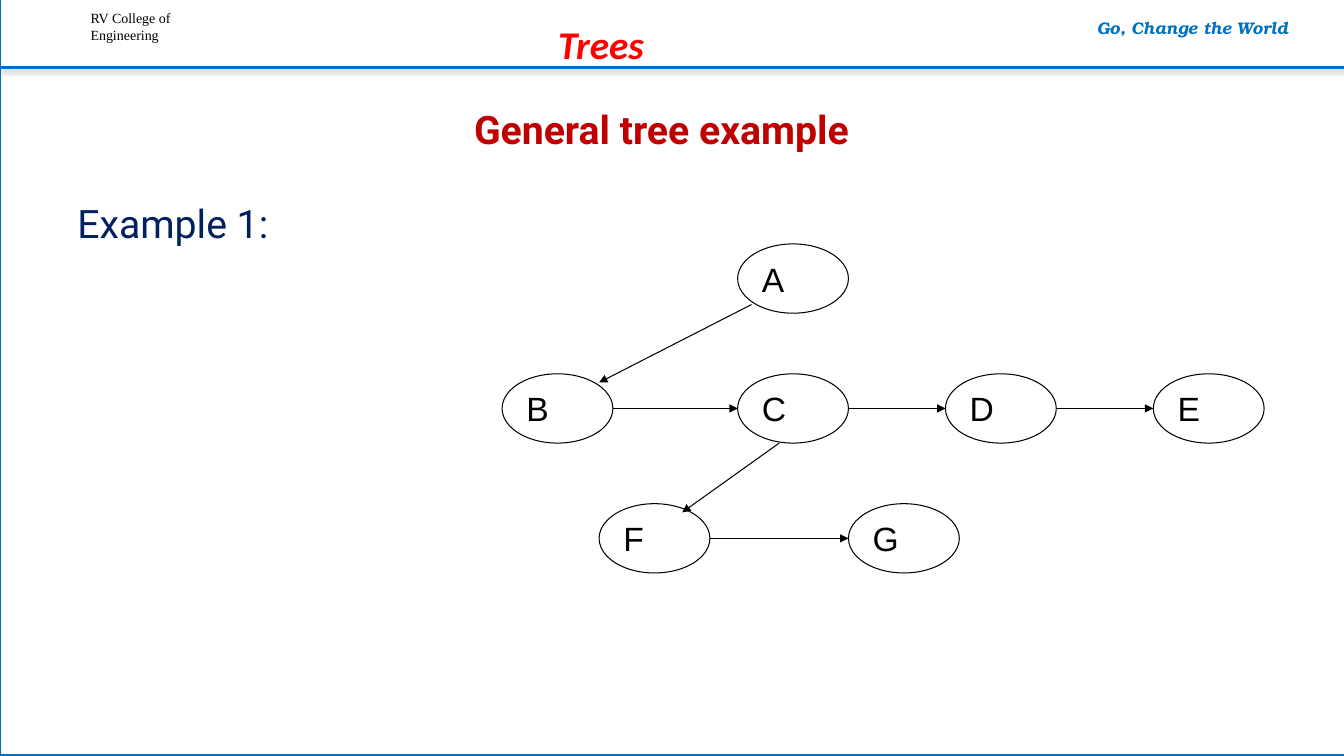
from dataclasses import dataclass

from lxml.etree import SubElement
from pptx import Presentation
from pptx.dml.color import RGBColor
from pptx.enum.shapes import MSO_CONNECTOR, MSO_SHAPE
from pptx.enum.text import MSO_ANCHOR, PP_ALIGN
from pptx.oxml.ns import qn
from pptx.util import Inches, Pt

WIDE, HIGH = 13.33, 7.5
# Tree grid: its left and top, then the size of a column and a row
LEFT, TOP = 4.98, 2.42
COL, ROW = WIDE / 97, HIGH / 87.3
NODE_W, NODE_H = 8, 8
NODES = {
    "A": (17, 0),
    "B": (0, 15), "C": (17, 15), "D": (32, 15), "E": (47, 15),
    "F": (7, 30), "G": (25, 30),
}
CHILD = [((18, 7), (7, 16)), ((20, 23), (13, 31))]
NEXT = ["BC", "CD", "DE", "FG"]


@dataclass(frozen=True)
class Type:
    face: str
    size: float
    hue: str
    bold: bool = False
    slant: bool = False


@dataclass(frozen=True)
class Theme:
    paper: str = "FFFFFF"
    ink: str = "000000"
    rule: str = "0070C0"
    thick: float = 2
    thin: float = 0.75
    school: Type = Type("Times New Roman", 10, "000000")
    motto: Type = Type("TeX Gyre Bonum", 12, "0070C0", True, True)
    topic: Type = Type("Calibri", 28, "FF0000", True, True)
    title: Type = Type("Roboto", 28, "C00000", True)
    body: Type = Type("Roboto", 28, "002060")
    node: Type = Type("Arial", 24, "000000")


THEME = Theme()


def write(frame, lines, style, align=PP_ALIGN.LEFT, space=1.0):
    frame.word_wrap = True
    frame.text = "\n".join(lines)
    for para in frame.paragraphs:
        para.alignment = align
        para.line_spacing = space
        font = para.font
        font.name, font.size = style.face, Pt(style.size)
        font.bold, font.italic = style.bold, style.slant
        font.color.rgb = RGBColor.from_string(style.hue)


def label(slide, box, lines, style, align=PP_ALIGN.LEFT, space=1.0):
    shape = slide.shapes.add_textbox(*map(Inches, box))
    write(shape.text_frame, lines, style, align, space)


def stroke(line, hue, width):
    line.color.rgb = RGBColor.from_string(hue)
    line.width = Pt(width)


def rule(slide, start, end, hue, width):
    """Draw a straight line and return it with its empty effect list."""
    line = slide.shapes.add_connector(
        MSO_CONNECTOR.STRAIGHT, *map(Inches, (*start, *end)))
    stroke(line.line, hue, width)
    return line, SubElement(line._element.spPr, qn("a:effectLst"))


def spot(col, row):
    """Turn a place on the tree grid into inches."""
    return LEFT + col * COL, TOP + row * ROW


def arrow(slide, start, end):
    line, _ = rule(slide, spot(*start), spot(*end), THEME.ink, THEME.thin)
    SubElement(line.line._get_or_add_ln(), qn("a:tailEnd"), type="triangle")


def node(slide, name, place):
    size = NODE_W * COL, NODE_H * ROW
    oval = slide.shapes.add_shape(
        MSO_SHAPE.OVAL, *map(Inches, (*spot(*place), *size)))
    oval.shadow.inherit = False
    oval.fill.background()
    stroke(oval.line, THEME.ink, THEME.thin)
    frame = oval.text_frame
    frame.margin_left = Inches(0.08)
    frame.margin_right = frame.margin_top = frame.margin_bottom = 0
    frame.vertical_anchor = MSO_ANCHOR.MIDDLE
    write(frame, [name], THEME.node)


def header(slide):
    page = slide.shapes.add_shape(
        MSO_SHAPE.RECTANGLE, *map(Inches, (0, -0.01, 13.38, HIGH)))
    page.shadow.inherit = False
    page.fill.solid()
    page.fill.fore_color.rgb = RGBColor.from_string(THEME.paper)
    stroke(page.line, THEME.rule, THEME.thick)
    label(slide, (0.8, 0.05, 1.47, 0.44),
          ["RV College of", "Engineering"], THEME.school)
    _, effect = rule(slide, (0, 0.67), (13.42, 0.67), THEME.rule, THEME.thick)
    shade = SubElement(effect, qn("a:outerShdw"), blurRad=str(Pt(3.1)),
                       dist=str(Pt(1.6)), dir="5400000", rotWithShape="0")
    hue = SubElement(shade, qn("a:srgbClr"), val=THEME.ink)
    SubElement(hue, qn("a:alpha"), val="38000")
    label(slide, (10.33, 0.13, 3, 0.3), ["Go, Change the World"],
          THEME.motto, PP_ALIGN.CENTER)
    label(slide, (2.52, 0.15, 6.88, 0.57), ["Trees"],
          THEME.topic, PP_ALIGN.CENTER)


def heading(slide, text):
    title = slide.shapes.title
    title.left, title.top, title.width, title.height = map(
        Inches, (0.56, 0.78, 12, 1.05))
    title.text_frame.vertical_anchor = MSO_ANCHOR.MIDDLE
    write(title.text_frame, [text], THEME.title, PP_ALIGN.CENTER, 0.9)
    # Bring the title in front of the page frame
    slide.shapes._spTree.append(title._element)


def tree(slide):
    for name, place in NODES.items():
        node(slide, name, place)
    for start, end in CHILD:
        arrow(slide, start, end)
    for one, two in NEXT:
        col, row = NODES[one]
        mid = row + NODE_H / 2
        arrow(slide, (col + NODE_W, mid), (NODES[two][0], mid))


def main():
    deck = Presentation()
    deck.slide_width, deck.slide_height = Inches(WIDE), Inches(HIGH)
    slide = deck.slides.add_slide(deck.slide_layouts.get_by_name("Title Only"))
    header(slide)
    heading(slide, "General tree example")
    label(slide, (0.67, 1.98, 12, 4.71), ["Example 1:"], THEME.body, space=0.9)
    tree(slide)
    deck.save("out.pptx")


if __name__ == "__main__":
    main()
